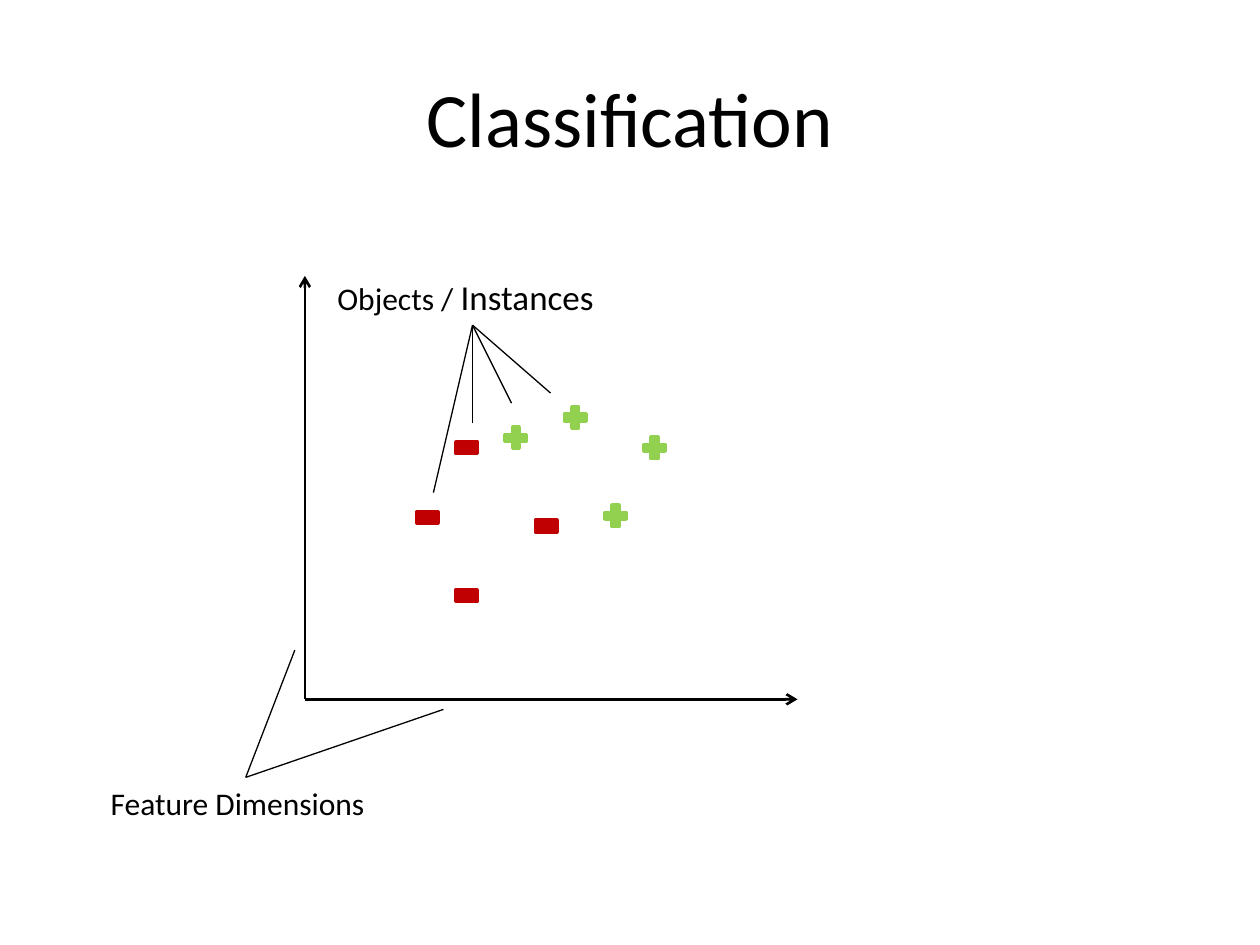
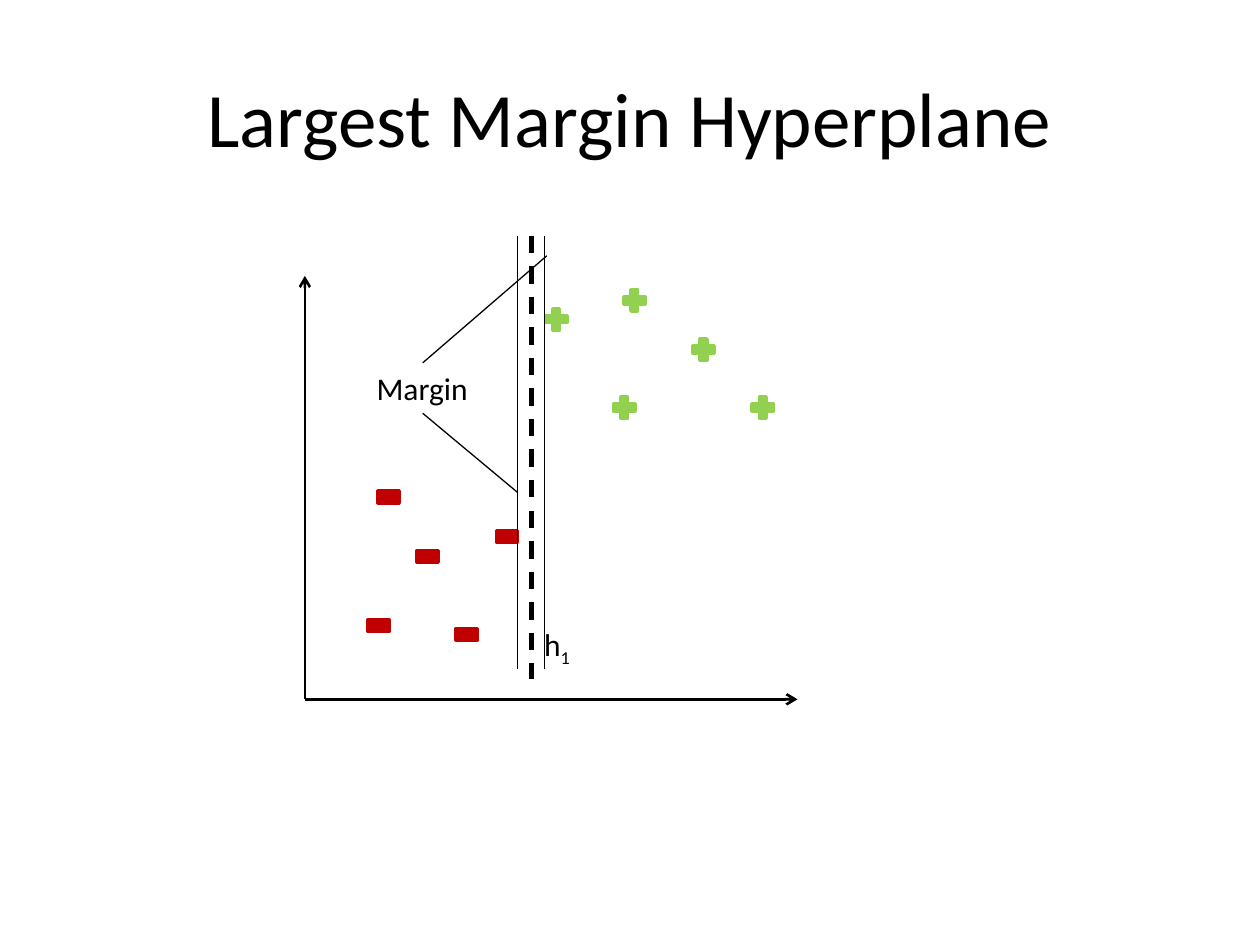
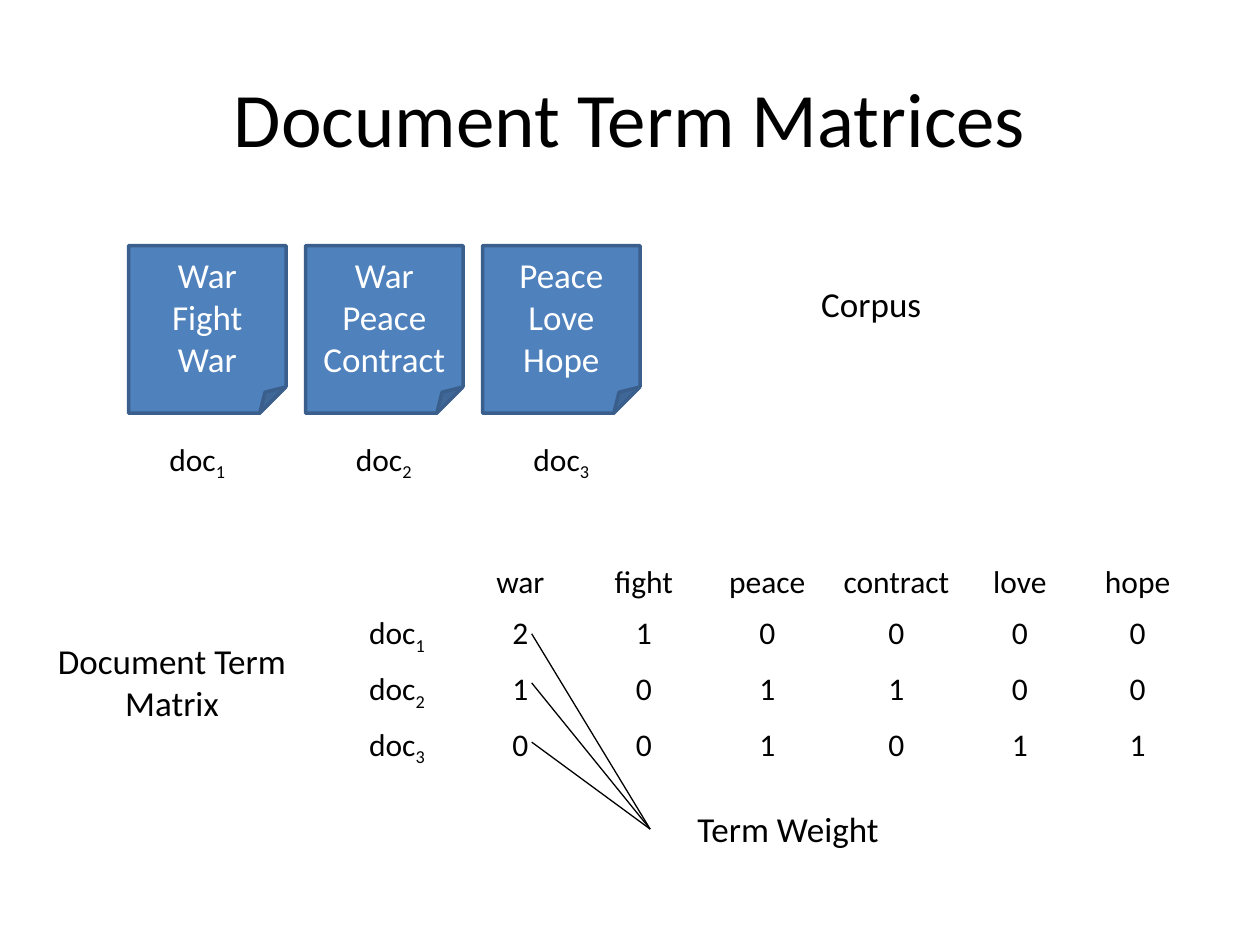
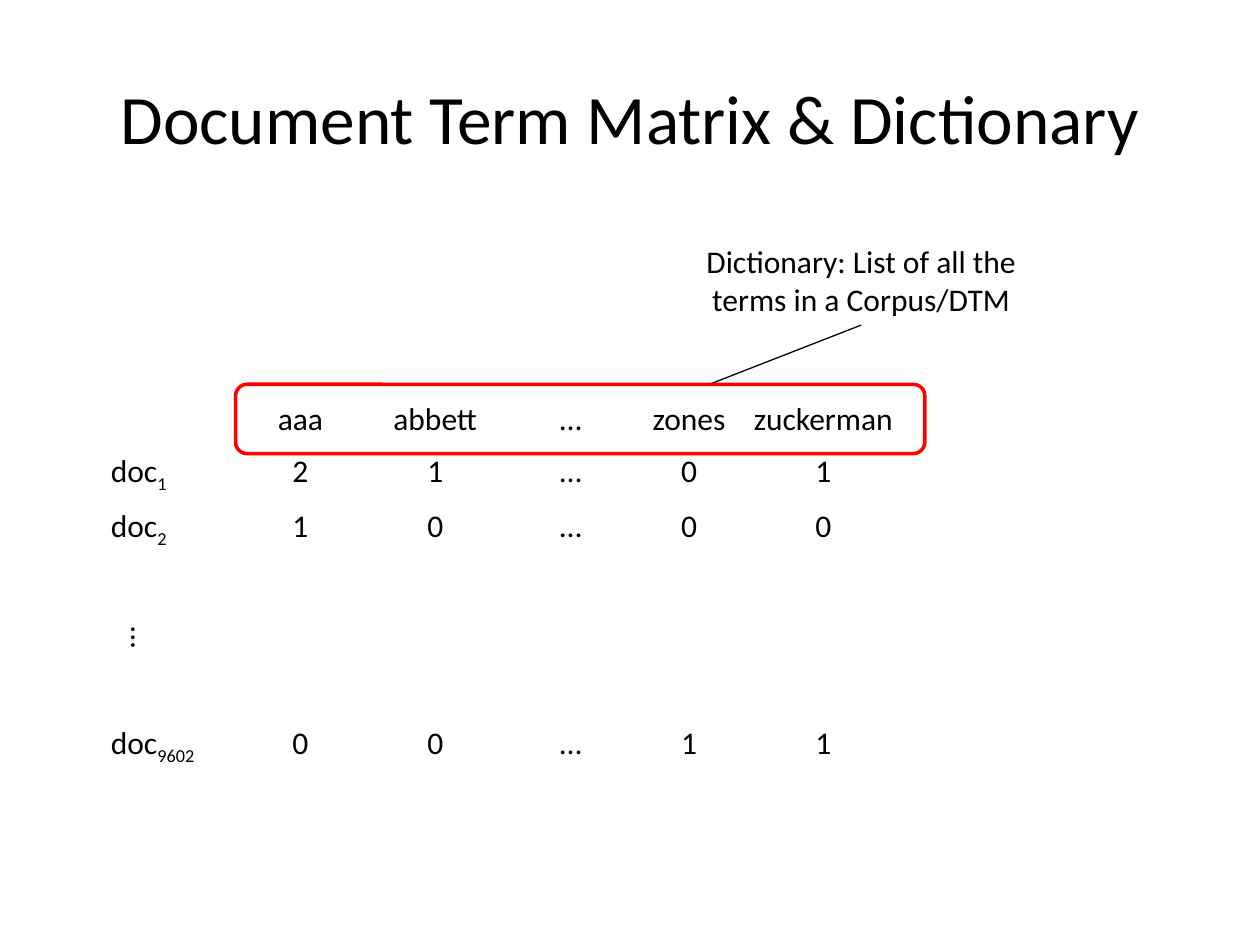
from dataclasses import dataclass
from lxml import etree
from pptx import Presentation
from pptx.dml.color import RGBColor as Rgb
from pptx.enum.dml import MSO_LINE as Dash
from pptx.enum.shapes import MSO_CONNECTOR as Link, MSO_SHAPE as Geo
from pptx.enum.text import MSO_ANCHOR as Anchor, MSO_AUTO_SIZE as Auto, PP_ALIGN as Align
from pptx.oxml.ns import qn
from pptx.util import Inches, Pt


@dataclass(frozen=True)
class Theme:
    font: str = "Calibri"
    ink: str = "000000"
    white: str = "FFFFFF"
    plus: str = "92D050"
    minus: str = "C00000"
    note: str = "4F81BD"
    edge: str = "3A5F8C"
    mark: str = "FF0000"
    head: float = 44
    big: float = 20
    text: float = 18
    thin: float = 0.75
    axis: float = 1.5
    bold: float = 2
    split: float = 2.5


T = Theme()
TOP, LEFT, BOTTOM = 0, 1, 2  # connection sites


# Shared helpers
def fmt(obj, vals):
    for name, val in vals.items():
        setattr(obj, name, val)


def ink(line, color, width):
    line.color.rgb = Rgb.from_string(color)
    line.width = Pt(width)


def put(par, text, size=T.text, color=T.ink):
    """Add runs; what follows an underscore is set as a subscript."""
    base, _, sub = text.partition("_")
    for part, low in ((base, False), (sub, True)):
        if part:
            run = par.add_run()
            run.text = part
            fmt(run.font, {"name": T.font, "size": Pt(size)})
            run.font.color.rgb = Rgb.from_string(color)
            if low:
                run.font._element.set("baseline", "-25000")


def page(deck, title, size=T.head):
    slide = deck.slides.add_slide(deck.slide_layouts[5])
    head = slide.shapes.title
    fmt(head, dict(zip(("left", "top", "width", "height"),
                       map(Inches, (0.5, 0.3, 9, 1.25)))))
    head.text_frame.vertical_anchor = Anchor.MIDDLE
    par = head.text_frame.paragraphs[0]
    par.alignment = Align.CENTER
    put(par, title, size)
    return slide


# Kinds of element
def label(slide, text, at, size=T.text, align=Align.CENTER, wrap=True):
    box = slide.shapes.add_textbox(*map(Inches, at))
    fmt(box.text_frame, {"word_wrap": wrap, "auto_size": Auto.SHAPE_TO_FIT_TEXT})
    par = box.text_frame.paragraphs[0]
    par.alignment = align
    put(par, text, size)
    return box


def shape(slide, kind, at, fill, edge):
    item = slide.shapes.add_shape(kind, *map(Inches, at))
    item.shadow.inherit = False
    if fill:
        item.fill.solid()
        item.fill.fore_color.rgb = Rgb.from_string(fill)
    else:
        item.fill.background()
    ink(item.line, edge, T.bold)
    return item


def line(slide, start, end, width=T.thin, dash=None, arrow=False):
    item = slide.shapes.add_connector(Link.STRAIGHT, *map(Inches, start + end))
    ink(item.line, T.ink, width)
    item.line.dash_style = dash
    props = item._element.spPr
    if arrow:
        etree.SubElement(props.find(qn("a:ln")), qn("a:tailEnd"), type="arrow")
    etree.SubElement(props, qn("a:effectLst"))
    return item


def rays(slide, box, site, ends):
    """Lead from the middle of one side of a label to each end point."""
    for end in ends:
        line(slide, (0, 0), end).begin_connect(box, site)


def axes(slide):
    zero = (2.42, 5.55)
    for end in ((6.33, 5.55), (2.42, 2.19)):
        line(slide, zero, end, T.axis, arrow=True)


def signs(slide, plus, minus):
    for kind, spots, tall, color in ((Geo.MATH_PLUS, plus, 0.23, T.plus),
                                     (Geo.MATH_MINUS, minus, 0.39, T.minus)):
        for x, y in spots:
            shape(slide, kind, (x, y, 0.23, tall), color, color)


def note(slide, words, x):
    item = shape(slide, Geo.FOLDED_CORNER, (x, 1.95, 1.25, 1.33), T.note, T.edge)
    frame = item.text_frame
    frame.vertical_anchor = Anchor.MIDDLE
    for i, word in enumerate(words):
        par = frame.add_paragraph() if i else frame.paragraphs[0]
        par.alignment = Align.CENTER
        put(par, word, T.big, T.white)


def matrix(slide, x, y, cols, rows, first=Align.CENTER):
    tall = 0.41
    grid = slide.shapes.add_table(len(rows), len(cols), Inches(x), Inches(y),
                                  Inches(sum(cols)), Inches(tall * len(rows))).table
    fmt(grid, {"first_row": False, "horz_banding": False})
    for col, wide in zip(grid.columns, cols):
        col.width = Inches(wide)
    for r, row in enumerate(rows):
        grid.rows[r].height = Inches(tall)
        for c in range(len(cols)):
            cell = grid.cell(r, c)
            cell.fill.background()
            par = cell.text_frame.paragraphs[0]
            par.alignment = Align.CENTER if c else first
            if c < len(row):
                put(par, row[c])
    return grid


# Slides
def classes(deck):
    slide = page(deck, "Classification")
    axes(slide)
    signs(slide, ((5.08, 3.44), (3.98, 3.36), (4.77, 3.98), (4.45, 3.2)),
          ((3.59, 4.53), (3.28, 3.91), (4.22, 3.98), (3.59, 3.36)))
    box = label(slide, "Objects / ", (2.58, 2.14, 2.34, 0.44), align=Align.LEFT)
    put(box.text_frame.paragraphs[0], "Instances", T.big)
    rays(slide, box, BOTTOM, ((4.06, 3.2), (4.37, 3.12), (3.75, 3.36), (3.44, 3.91)))
    box = label(slide, "Feature Dimensions", (0.78, 6.17, 2.34, 0.4), align=Align.LEFT)
    rays(slide, box, TOP, ((2.34, 5.16), (3.52, 5.63)))


def margin(deck):
    slide = page(deck, "Largest Margin Hyperplane")
    axes(slide)
    signs(slide, ((5.47, 2.66), (4.3, 2.42), (4.84, 3.12), (4.92, 2.27), (5.94, 3.12)),
          ((3.59, 4.84), (3.28, 4.22), (3.91, 4.06), (2.97, 3.75), (2.89, 4.77)))
    line(slide, (4.22, 1.87), (4.22, 5.39), T.split, Dash.DASH)
    label(slide, "h_1", (4.22, 4.91, 0.46, 0.4), align=Align.LEFT)
    for x in (4.11, 4.32):
        line(slide, (x, 1.87), (x, 5.31))
    box = label(slide, "Margin", (2.89, 2.88, 0.93, 0.4), align=Align.LEFT, wrap=False)
    rays(slide, box, TOP, [(4.34, 2.03)])
    rays(slide, box, BOTTOM, [(4.11, 3.91)])


def terms(deck):
    slide = page(deck, "Document Term Matrices")
    docs = (("War", "Fight", "War"), ("War", "Peace", "Contract"),
            ("Peace", "Love", "Hope"))
    for i, (words, left) in enumerate(zip(docs, (0.94, 2.42, 3.83))):
        note(slide, words, 1.02 + 1.405 * i)
        label(slide, f"doc_{i + 1}", (left, 3.44, 1.25, 0.4))
    names = ("war", "fight", "peace", "contract", "love", "hope")
    rows = [("",) + names]
    for i, words in enumerate(docs, 1):
        used = [word.lower() for word in words]
        rows.append([f"doc_{i}"] + [str(used.count(name)) for name in names])
    matrix(slide, 2.66, 4.42, (0.98, 0.98, 0.98, 0.98, 1.07, 0.89, 0.98), rows)
    box = label(slide, "Term Weight", (5.16, 6.36, 2.19, 0.44), T.big)
    rays(slide, box, LEFT, [(4.22, y) for y in (5.89, 5.42, 5.03)])
    label(slide, "Corpus", (5.55, 2.19, 2.73, 0.44), T.big)
    label(slide, "Document Term Matrix", (0, 5.03, 2.73, 0.77), T.big)


def words(deck):
    slide = page(deck, "Document Term Matrix & Dictionary", T.head * 0.9)
    box = label(slide, "Dictionary: List of all the terms in a Corpus/DTM",
                (5.31, 1.87, 3.05, 0.71))
    rays(slide, box, BOTTOM, [(5.63, 3.05)])
    rows = (("", "aaa", "abbett", "…", "zones", "zuckerman"),
            ("doc_1", "2", "1", "…", "0", "1"),
            ("doc_2", "1", "0", "…", "0", "0"),
            ("…",),
            ("doc_9602", "0", "0", "…", "1", "1"))
    grid = matrix(slide, 0.78, 3.13, (1.07, 1.07, 1.07, 1.08, 0.8, 1.33), rows, Align.LEFT)
    # Upright dots in a tall row stand for the documents between
    grid.rows[3].height = Inches(1.28)
    cell = grid.cell(3, 0)
    cell.vertical_anchor = Anchor.MIDDLE
    cell.text_frame.paragraphs[0].alignment = Align.CENTER
    cell._tc.get_or_add_tcPr().set("vert", "vert270")
    shape(slide, Geo.ROUNDED_RECTANGLE, (1.87, 3.05, 5.47, 0.55), None, T.mark)


def main():
    deck = Presentation()
    fmt(deck, {"slide_width": Inches(10), "slide_height": Inches(7.5)})
    for build in (classes, margin, terms, words):
        build(deck)
    deck.save("out.pptx")


if __name__ == "__main__":
    main()
